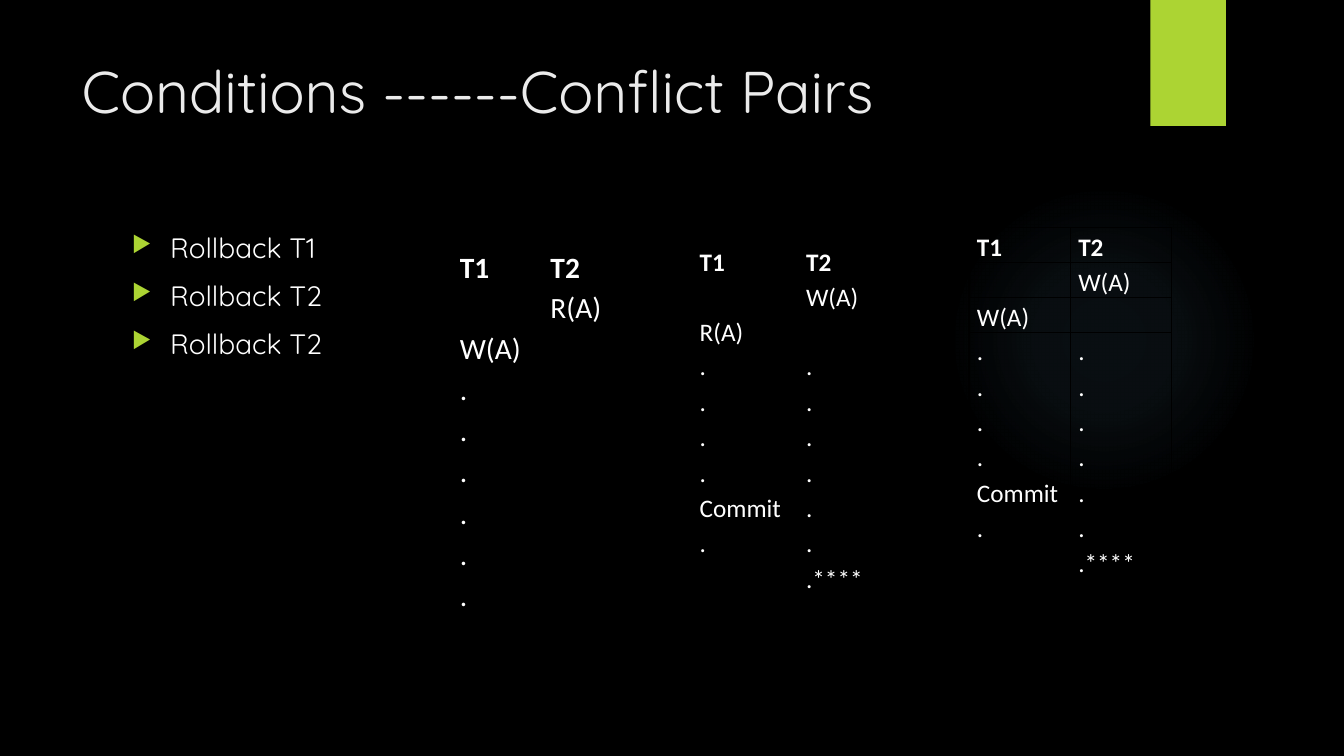
from lxml.etree import SubElement
from pptx import Presentation
from pptx.dml.color import RGBColor
from pptx.enum.shapes import MSO_SHAPE
from pptx.enum.text import MSO_ANCHOR, MSO_AUTO_SIZE, PP_ALIGN
from pptx.oxml import parse_xml
from pptx.oxml.ns import nsdecls, qn
from pptx.util import Inches, Pt

BLACK = RGBColor(0x00, 0x00, 0x00)
WHITE = RGBColor(0xFF, 0xFF, 0xFF)
PALE = RGBColor(0xEB, 0xEB, 0xEB)
LIME = RGBColor(0xAC, 0xD4, 0x33)
GLOW = RGBColor(0x7A, 0xC4, 0xF0)

HEADING = "Quicksand"
SCHEDULE = "Calibri"

TITLE = "Conditions ------Conflict Pairs"
ROLLBACKS = ["Rollback T1", "Rollback T2", "Rollback T2"]
DOTS = ["."] * 6
UNTIL_COMMIT = ["."] * 4 + ["Commit", "."]
UNTIL_STARS = DOTS + [".****"]

# Each schedule: box, text size, side inset, height of a short row, rows of (T1, T2)
SCHEDULES = [
    ((4.48, 2.43, 1.8, 3.45), 21, 0.08, 0.37,
     [("T1", "T2"), ("", "R(A)"), ("W(A)", ""), (DOTS, "")]),
    ((6.87, 2.41, 2.11, 3.44), 18, 0.07, 0.33,
     [("T1", "T2"), ("", "W(A)"), ("R(A)", ""), (UNTIL_COMMIT, UNTIL_STARS)]),
    ((9.61, 2.26, 2.01, 3.44), 18, 0.08, 0.33,
     [("T1", "T2"), ("", "W(A)"), ("W(A)", ""), (UNTIL_COMMIT, UNTIL_STARS)]),
]


def inches(box):
    return [Inches(length) for length in box]


def set_format(target, values):
    for name, value in values.items():
        setattr(target, name, value)


def write(para, text, name, size, color, bold=False):
    span = para.add_run()
    span.text = text
    set_format(span.font, {"name": name, "size": Pt(size), "bold": bold})
    span.font.color.rgb = color


def add_backdrop(page, glow_box, tab_box):
    """Black page with a faint round glow and a lime tab at the top."""
    page.background.fill.solid()
    page.background.fill.fore_color.rgb = BLACK
    glow = page.shapes.add_shape(MSO_SHAPE.OVAL, *inches(glow_box))
    tab = page.shapes.add_shape(MSO_SHAPE.RECTANGLE, *inches(tab_box))
    for shape in (glow, tab):
        shape.shadow.inherit = False
        shape.line.fill.background()
    tab.fill.solid()
    tab.fill.fore_color.rgb = LIME

    # Radial fade to transparent
    stops = "".join(
        f'<a:gs pos="{place * 1000}"><a:srgbClr val="{GLOW}">'
        f'<a:alpha val="{alpha * 1000}"/></a:srgbClr></a:gs>'
        for place, alpha in ((0, 7), (36, 6), (69, 0), (100, 0)))
    fade = parse_xml(
        f'<a:gradFill {nsdecls("a")} rotWithShape="1"><a:gsLst>{stops}</a:gsLst>'
        '<a:path path="circle"><a:fillToRect l="50000" t="50000" r="50000" b="50000"/>'
        '</a:path></a:gradFill>')
    glow._element.spPr.find(qn("a:prstGeom")).addnext(fade)


def add_title(page, box):
    title = page.shapes.title
    set_format(title, dict(zip(("left", "top", "width", "height"), inches(box))))
    set_format(title.text_frame, {"vertical_anchor": MSO_ANCHOR.TOP, "word_wrap": True,
                                  "auto_size": MSO_AUTO_SIZE.NONE})
    para = title.text_frame.paragraphs[0]
    para.alignment = PP_ALIGN.LEFT
    write(para, TITLE, HEADING, 42, PALE)


def add_rollbacks(page, box):
    frame = page.shapes.add_textbox(*inches(box)).text_frame
    frame.word_wrap = True
    for index, text in enumerate(ROLLBACKS):
        para = frame.add_paragraph() if index else frame.paragraphs[0]
        para.space_before = Pt(10 if index else 0)
        props = para._p.get_or_add_pPr()
        props.set("marL", str(Inches(0.38)))
        props.set("indent", str(-Inches(0.38)))
        bullet_color = SubElement(props, qn("a:buClr"))
        SubElement(bullet_color, qn("a:srgbClr"), val=str(LIME))
        SubElement(props, qn("a:buSzPct"), val="80000")
        SubElement(props, qn("a:buChar"), char="▶")
        write(para, text, HEADING, 20, WHITE)


def set_borders(cell):
    props = cell._tc.get_or_add_tcPr()
    for index, side in enumerate("LRTB"):
        props.insert(index, parse_xml(
            f'<a:ln{side} {nsdecls("a")} w="{Pt(1)}"><a:solidFill>'
            f'<a:srgbClr val="{BLACK}"/></a:solidFill></a:ln{side}>'))


def add_schedule(page, box, size, inset, row_height, rows):
    """Two transactions side by side; the last row takes the height left over."""
    table = page.shapes.add_table(len(rows), 2, *inches(box)).table
    set_format(table, {"first_row": False, "horz_banding": False})
    last = len(rows) - 1
    for index, row in enumerate(table.rows):
        row.height = Inches(row_height if index < last else box[3] - last * row_height)
    for row_index, row in enumerate(rows):
        for column, content in enumerate(row):
            cell = table.cell(row_index, column)
            set_format(cell, {"margin_left": Inches(inset), "margin_right": Inches(inset),
                              "margin_top": 0, "margin_bottom": 0})
            cell.fill.background()
            set_borders(cell)
            lines = [content] if isinstance(content, str) else content
            for index, text in enumerate(lines):
                frame = cell.text_frame
                para = frame.add_paragraph() if index else frame.paragraphs[0]
                para.line_spacing = 1.15
                if text:
                    write(para, text, SCHEDULE, size, WHITE, bold=row_index == 0)


def main():
    deck = Presentation()
    deck.slide_width, deck.slide_height = Inches(13.33), Inches(7.5)
    page = deck.slides.add_slide(deck.slide_layouts[5])
    add_backdrop(page, (9.41, 1.83, 3.08, 3.08), (11.41, 0, 0.75, 1.25))
    add_title(page, (0.71, 0.49, 10.28, 1.53))
    add_rollbacks(page, (1.21, 2.24, 3.41, 4.59))
    for schedule in SCHEDULES:
        add_schedule(page, *schedule)
    deck.save("out.pptx")


if __name__ == "__main__":
    main()
